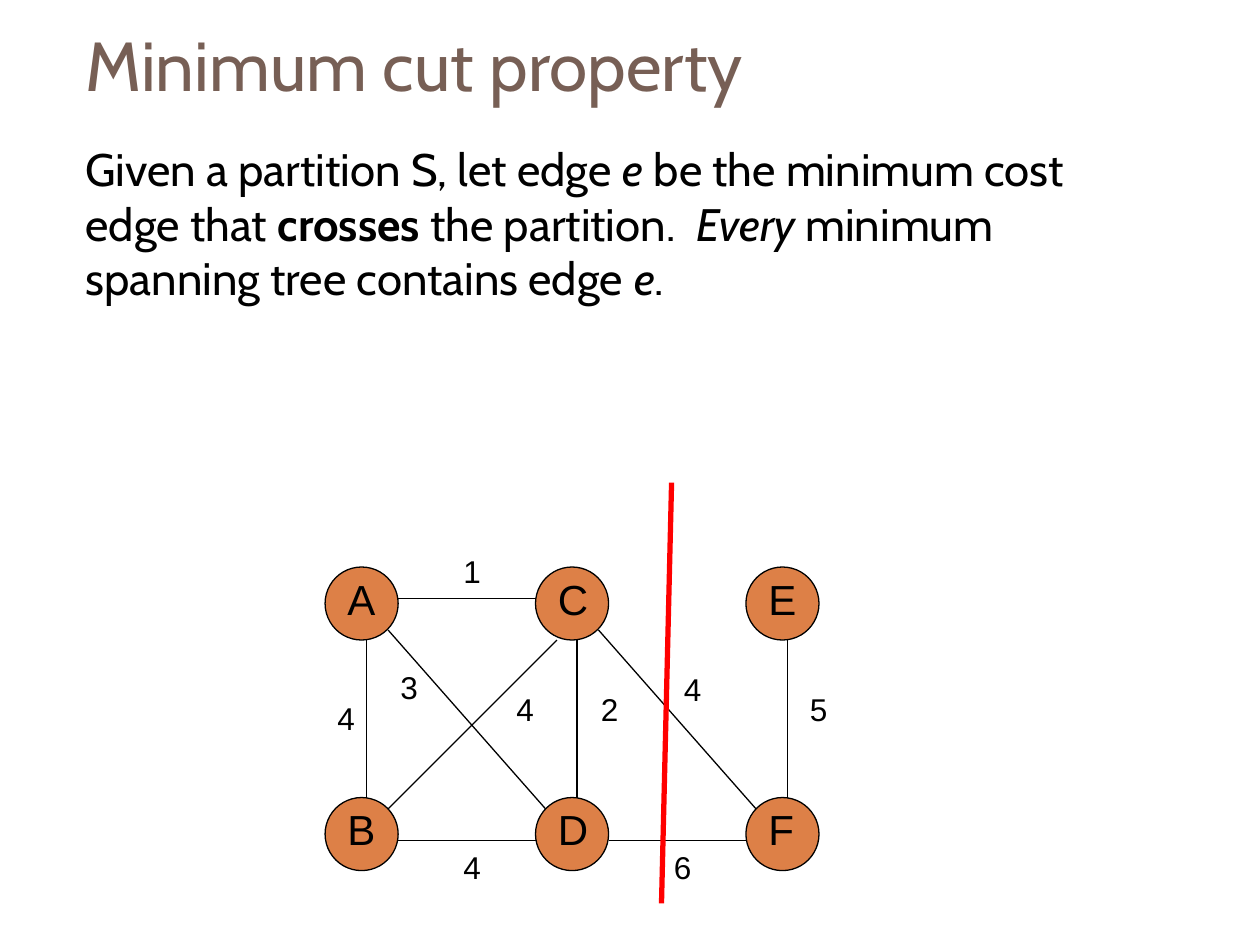
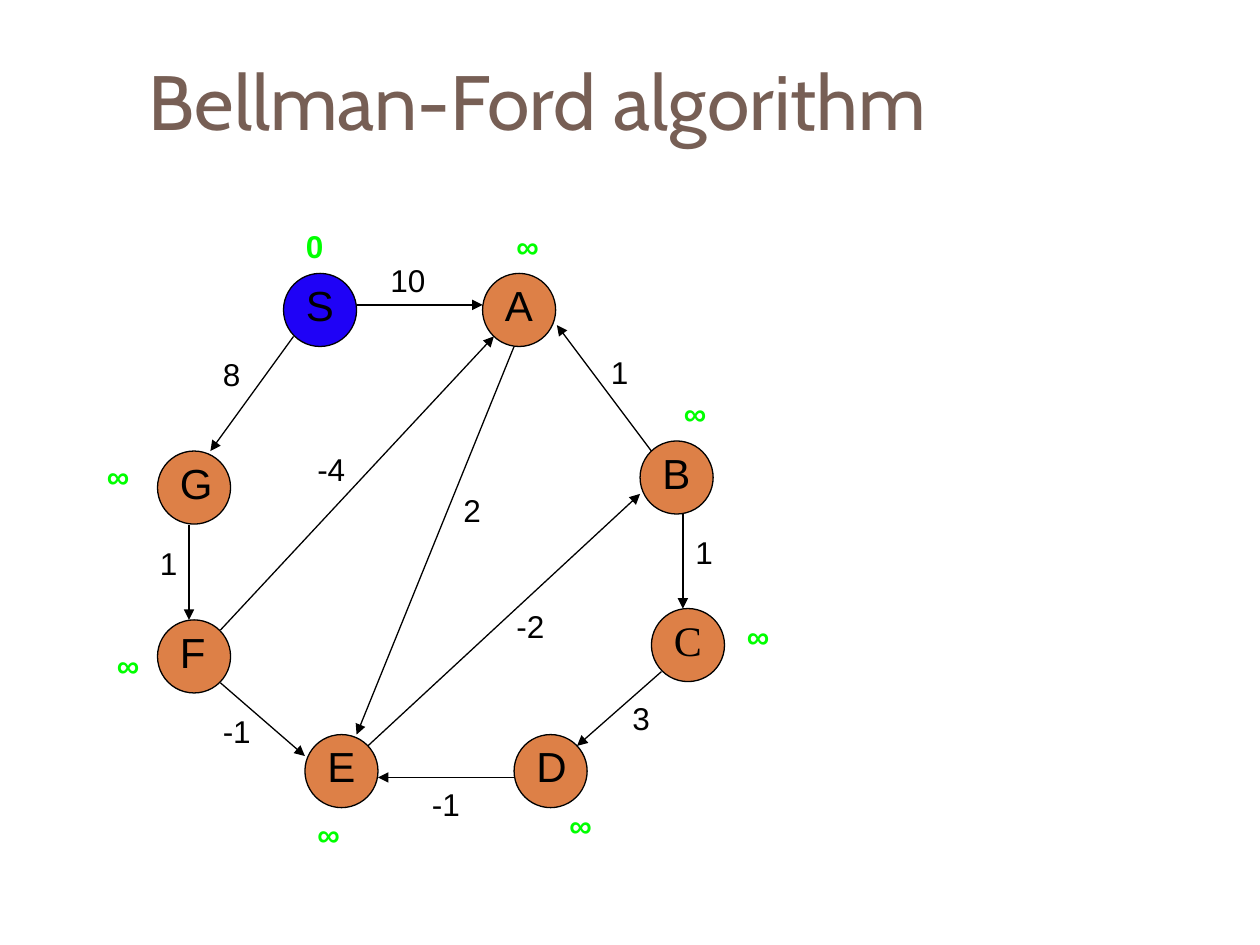
from dataclasses import dataclass

from lxml import etree
from pptx import Presentation
from pptx.dml.color import RGBColor
from pptx.enum import shapes, text
from pptx.oxml import ns
from pptx.util import Inches, Pt

BLACK = RGBColor(0x00, 0x00, 0x00)
BROWN = RGBColor(0x77, 0x5F, 0x55)
ORANGE = RGBColor(0xDD, 0x80, 0x47)
BLUE = RGBColor(0x1F, 0x02, 0xF6)
GREEN = RGBColor(0x00, 0xFF, 0x00)
RED = RGBColor(0xFF, 0x00, 0x00)

HEAD, SANS = "Cabin", "Arial"
SIZE = 0.58  # node width and height


@dataclass(frozen=True)
class Node:
    name: str
    x: float
    y: float
    fill: RGBColor = ORANGE
    font: str = SANS


@dataclass(frozen=True)
class Edge:
    x1: float
    y1: float
    x2: float
    y2: float
    color: RGBColor = BLACK
    width: float = 0.75
    arrow: bool = False


@dataclass(frozen=True)
class Label:
    words: str
    x: float
    y: float
    w: float = 0.5
    h: float = 0.4
    size: int = 18
    color: RGBColor = BLACK
    bold: bool = False
    font: str = SANS


# Drawing functions
def style(font, name: str, size: float, color: RGBColor) -> None:
    font.name, font.size = name, Pt(size)
    font.color.rgb = color


def place(shape, x: float, y: float, w: float, h: float) -> None:
    shape.left, shape.top = Inches(x), Inches(y)
    shape.width, shape.height = Inches(w), Inches(h)


def add_slide(deck, layout: int, title: str, size: float, *box: float):
    slide = deck.slides.add_slide(deck.slide_layouts[layout])
    head = slide.shapes.title
    place(head, *box)
    frame = head.text_frame
    frame.text = title
    frame.auto_size = text.MSO_AUTO_SIZE.NONE
    frame.vertical_anchor = text.MSO_ANCHOR.MIDDLE
    par = frame.paragraphs[0]
    par.alignment = text.PP_ALIGN.LEFT
    style(par.font, HEAD, size, BROWN)
    return slide


def add_label(parent, label: Label) -> None:
    box = parent.add_textbox(Inches(label.x), Inches(label.y),
                             Inches(label.w), Inches(label.h))
    frame = box.text_frame
    frame.word_wrap = True
    frame.auto_size = text.MSO_AUTO_SIZE.SHAPE_TO_FIT_TEXT
    frame.text = label.words
    font = frame.paragraphs[0].font
    style(font, label.font, label.size, label.color)
    font.bold = label.bold


def add_node(parent, node: Node) -> None:
    group = parent.add_group_shape().shapes
    disc = group.add_shape(shapes.MSO_SHAPE.OVAL, Inches(node.x), Inches(node.y),
                           Inches(SIZE), Inches(SIZE))
    disc.shadow.inherit = False
    disc.fill.solid()
    disc.fill.fore_color.rgb = node.fill
    disc.line.color.rgb = BLACK
    disc.line.width = Pt(0.75)
    add_label(group, Label(node.name, node.x + 0.08, node.y, h=0.5, size=24,
                           font=node.font))


def add_edge(parent, edge: Edge) -> None:
    line = parent.add_connector(shapes.MSO_CONNECTOR.STRAIGHT,
                                Inches(edge.x1), Inches(edge.y1),
                                Inches(edge.x2), Inches(edge.y2))
    line.line.color.rgb = edge.color
    line.line.width = Pt(edge.width)
    props = line._element.spPr
    if edge.arrow:
        etree.SubElement(props.find(ns.qn("a:ln")), ns.qn("a:tailEnd"), type="triangle")
    etree.SubElement(props, ns.qn("a:effectLst"))


def draw_graph(slide, nodes: list[Node], edges: list[Edge], labels: list[Label]) -> None:
    for node in nodes:
        add_node(slide.shapes, node)
    for edge in edges:
        add_edge(slide.shapes, edge)
    for label in labels:
        add_label(slide.shapes, label)


# Slide 1: minimum cut
def build_cut(deck) -> None:
    slide = add_slide(deck, 1, "Minimum cut property", 39.6, 0.58, 0.12, 8.25, 0.78)

    body = slide.placeholders[1]
    place(body, 0.58, 1.07, 8.17, 1.45)
    body.text_frame.auto_size = text.MSO_AUTO_SIZE.NONE
    par = body.text_frame.paragraphs[0]
    par.space_before = Pt(7)
    style(par.font, HEAD, 26, BLACK)
    props = par._p.get_or_add_pPr()
    props.set("marL", "0")
    props.set("indent", "0")
    props.insert_element_before(etree.Element(ns.qn("a:buNone")),
                                "a:tabLst", "a:defRPr", "a:extLst")
    for words, mark in (("Given a partition S, let edge ", ""), ("e", "i"),
                        (" be the minimum cost edge that ", ""), ("crosses", "b"),
                        (" the partition.  ", ""), ("Every", "i"),
                        (" minimum spanning tree contains edge ", ""),
                        ("e", "i"), (".", "")):
        run = par.add_run()
        run.text = words
        run.font.bold = mark == "b"
        run.font.italic = mark == "i"

    # Nodes stand in three columns and two rows
    left, step, top, low = 2.58, 1.67, 4.5, 6.33
    cols = [left + i * step for i in range(3)]
    nodes = [Node(name, x, y) for x, pair in zip(cols, ("AB", "CD", "EF"))
             for name, y in zip(pair, (top, low))]
    edges = [Edge(x + 0.33, low, x + 0.33, top + SIZE) for x in cols]
    for x, end in zip(cols, cols[1:]):
        edges.append(Edge(x + SIZE, 6.67, end, 6.67))
        edges.append(Edge(x + 0.5, 5, end + 0.08, 6.42))
    edges += [Edge(cols[0] + SIZE, 4.75, cols[1], 4.75),
              Edge(3.08, 6.42, 4.42, 5.08),
              Edge(5.25, 7.17, 5.33, 3.83, RED, 3)]
    costs = (("4", 2.58, 5.5), ("1", 3.58, 4.33), ("2", 4.67, 5.43),
             ("3", 3.08, 5.25), ("4", 3.58, 6.68), ("5", 6.33, 5.43),
             ("4", 5.33, 5.27), ("6", 5.25, 6.68), ("4", 4, 5.43))
    draw_graph(slide, nodes, edges, [Label(*cost, w=SIZE) for cost in costs])


# Slide 2: shortest paths
def build_paths(deck) -> None:
    slide = add_slide(deck, 5, "Bellman-Ford algorithm", 44, 1.08, 0.25, 8.92, 1.08)
    nodes = [Node("G", 1.25, 3.58), Node("S", 2.25, 2.17, BLUE),
             Node("F", 1.25, 4.92), Node("E", 2.42, 5.83),
             Node("A", 3.83, 2.17), Node("D", 4.08, 5.83),
             Node("B", 5.08, 3.5), Node("C", 5.17, 4.83, font="Times New Roman")]
    ends = ((2.83, 2.42, 3.83, 2.42), (5.17, 3.58, 4.42, 2.58),
            (5.42, 4.08, 5.42, 4.83), (5.25, 5.33, 4.58, 5.92),
            (4.08, 6.17, 3, 6.17), (1.75, 5.42, 2.42, 6),
            (1.5, 4.17, 1.5, 4.92), (2.33, 2.67, 1.67, 3.58),
            (1.75, 5, 3.92, 2.67), (4.08, 2.75, 2.83, 5.83),
            (2.92, 5.92, 5.08, 3.92))
    costs = (("10", 3, 2.02), ("8", 1.67, 2.77), ("1", 1.17, 4.27),
             ("-1", 1.67, 5.6), ("-1", 3.33, 6.18), ("3", 4.92, 5.5),
             ("1", 5.42, 4.18), ("1", 4.75, 2.75), ("2", 3.58, 3.85),
             ("-2", 4, 4.77), ("-4", 2.42, 3.52))
    dists = (("0", 2.33, 1.75), ("∞", 4, 1.75), ("∞", 5.33, 3.08),
             ("∞", 5.83, 4.85), ("∞", 4.42, 6.35), ("∞", 2.42, 6.42),
             ("∞", 0.83, 5.08), ("∞", 0.75, 3.58))
    labels = [Label(*cost) for cost in costs]
    labels += [Label(*dist, color=GREEN, bold=True) for dist in dists]
    draw_graph(slide, nodes, [Edge(*end, arrow=True) for end in ends], labels)


def main() -> None:
    deck = Presentation()
    deck.slide_width, deck.slide_height = Inches(10), Inches(7.5)
    build_cut(deck)
    build_paths(deck)
    deck.save("out.pptx")


if __name__ == "__main__":
    main()
